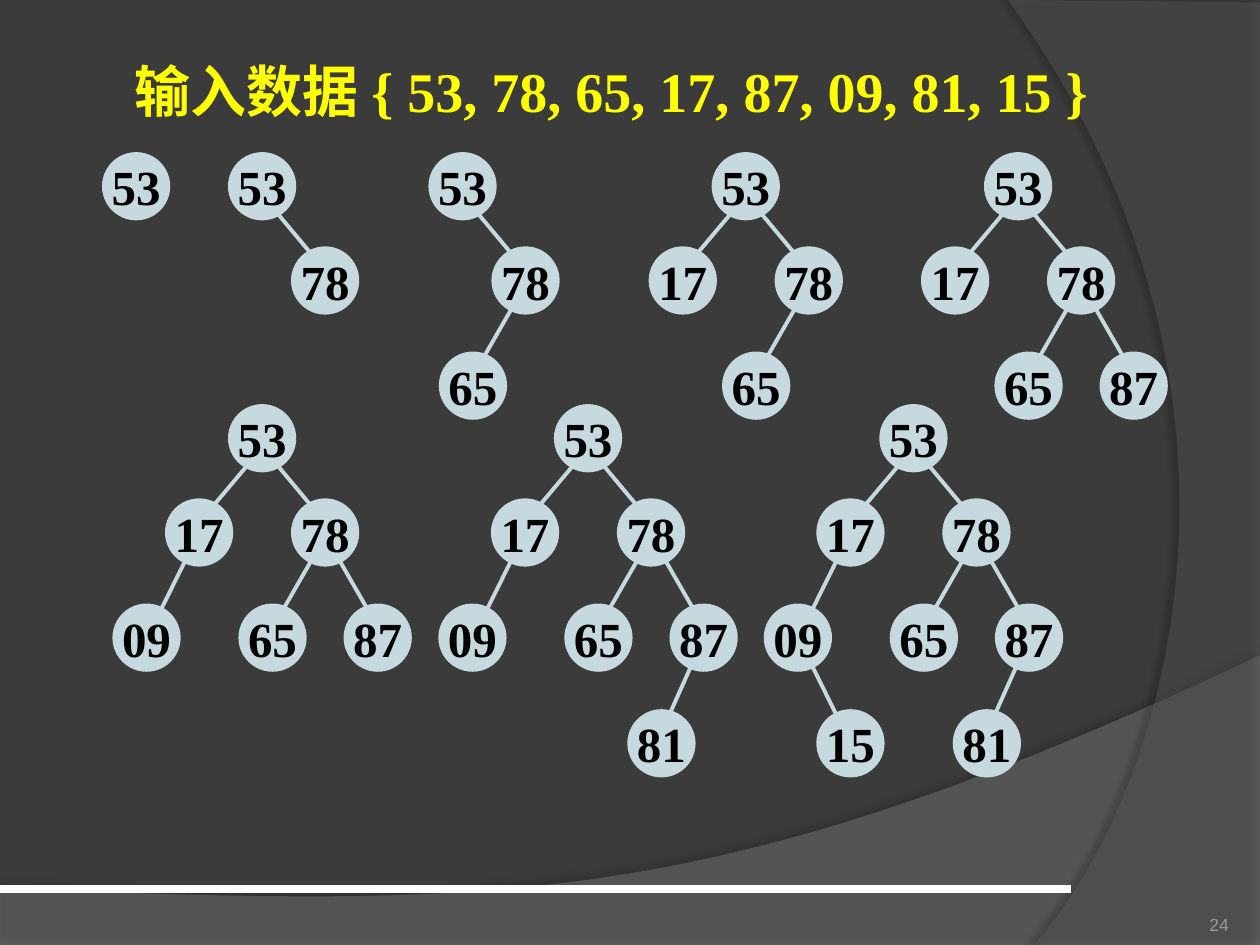
from dataclasses import dataclass

from lxml.etree import SubElement
from pptx import Presentation
from pptx.dml.color import RGBColor
from pptx.enum.shapes import MSO_CONNECTOR as Connector, MSO_SHAPE as Preset
from pptx.enum.text import MSO_ANCHOR as Anchor, MSO_AUTO_SIZE as AutoSize, PP_ALIGN as Align
from pptx.oxml.ns import qn
from pptx.util import Cm, Pt

Point = tuple[float, float]

PALE = "C5D9DF"
SERIF = "Times New Roman"
DIAMETER = 1.27


@dataclass(frozen=True)
class Key:
    value: str
    offset: Point
    link: tuple[Point, Point] | None = None


@dataclass(frozen=True)
class Swoosh:
    outline: list[Point]
    curve: tuple[Point, Point, Point]
    fill: str
    opacity: int
    shadow_opacity: int
    shadow_distance: float
    shadow_angle: int


INSERTED = [
    Key("53", (0, 0)),
    Key("78", (1.27, 1.9), ((0.85, 1.07), (1.91, 2.34))),
    Key("65", (0.21, 4.02), ((1.7, 2.97), (0.85, 4.45))),
    Key("17", (-1.27, 1.9), ((0.43, 1.07), (-0.64, 2.34))),
    Key("87", (2.33, 4.02), ((2.12, 2.97), (2.97, 4.45))),
    Key("09", (-2.33, 4.02), ((-0.85, 2.97), (-1.48, 4.24))),
    Key("81", (1.48, 6.15), ((2.97, 4.65), (2.12, 6.55))),
    Key("15", (-1.27, 6.15), ((-1.48, 5.08), (-0.85, 6.35))),
]

ROOTS = [(x, 3.12) for x in (2.11, 4.65, 8.69, 14.4, 19.89)]
ROOTS += [(x, 8.2) for x in (4.65, 11.22, 17.78)]

SWOOSHES = [
    Swoosh([(0, 17.91), (0, 19.05), (25.4, 19.05), (25.4, 13.21)],
           ((14.2, 18.52), (9.93, 18.26), (0, 17.91)),
           "7F7F7F", 45, 35, 3.5, 270),
    Swoosh([(25.4, 0.05), (25.4, 19.05), (20.85, 19.05)],
           ((23.75, 15.72), (25.86, 7.62), (20.32, 0)),
           "5E5E5E", 40, 45, 4, 180),
]


def color(value: str) -> RGBColor:
    return RGBColor.from_string(value)


def bezier(start: Point, curve: tuple[Point, Point, Point], steps: int = 48) -> list[Point]:
    points = []
    for step in range(1, steps + 1):
        t = step / steps
        weights = ((1 - t) ** 3, 3 * t * (1 - t) ** 2, 3 * t ** 2 * (1 - t), t ** 3)
        controls = (start, *curve)
        points.append(tuple(sum(w * p[axis] for w, p in zip(weights, controls))
                            for axis in (0, 1)))
    return points


def add_alpha(element, percent: int) -> None:
    SubElement(element, qn("a:alpha"), val=str(percent * 1000))


def draw_swoosh(slide, swoosh: Swoosh) -> None:
    points = swoosh.outline + bezier(swoosh.outline[-1], swoosh.curve)
    first, *rest = [(Cm(x), Cm(y)) for x, y in points]
    builder = slide.shapes.build_freeform(*first)
    builder.add_line_segments(rest, close=True)
    area = builder.convert_to_shape()
    area.fill.solid()
    area.fill.fore_color.rgb = color(swoosh.fill)
    area.line.fill.background()
    area.shadow.inherit = False
    properties = area._element.spPr
    add_alpha(properties.find(qn("a:solidFill")).find(qn("a:srgbClr")), swoosh.opacity)
    shadow = SubElement(properties.find(qn("a:effectLst")), qn("a:outerShdw"),
                        blurRad=str(Pt(4)), dist=str(Pt(swoosh.shadow_distance)),
                        dir=str(swoosh.shadow_angle * 60000))
    add_alpha(SubElement(shadow, qn("a:srgbClr"), val="000000"), swoosh.shadow_opacity)


def draw_line(slide, start: Point, end: Point, stroke: str, width: float) -> None:
    line = slide.shapes.add_connector(
        Connector.STRAIGHT, *(Cm(value) for value in (*start, *end)))
    line.line.color.rgb = color(stroke)
    line.line.width = Pt(width)
    SubElement(line._element.spPr, qn("a:effectLst"))


def write(frame, text: str, font: str, size: float, ink: str,
          bold: bool = False, align: Align = Align.LEFT) -> None:
    frame.text = text
    paragraph = frame.paragraphs[0]
    paragraph.alignment = align
    face = paragraph.runs[0].font
    face.name, face.size, face.bold = font, Pt(size), bold
    face.color.rgb = color(ink)


def shift(origin: Point, offset: Point) -> Point:
    return origin[0] + offset[0], origin[1] + offset[1]


def draw_key(slide, root: Point, key: Key) -> None:
    left, top = shift(root, key.offset)
    node = slide.shapes.add_shape(
        Preset.OVAL, Cm(left), Cm(top), Cm(DIAMETER), Cm(DIAMETER))
    node.shadow.inherit = False
    node.fill.solid()
    node.fill.fore_color.rgb = color(PALE)
    node.line.color.rgb = color(PALE)
    node.line.width = Pt(3)
    node.text_frame.word_wrap = False
    node.text_frame.vertical_anchor = Anchor.MIDDLE
    write(node.text_frame, key.value, SERIF, 28, "000000", True, Align.CENTER)


def draw_tree(slide, root: Point, keys: list[Key]) -> None:
    for key in keys:
        if key.link:
            start, end = key.link
            draw_line(slide, shift(root, start), shift(root, end), PALE, 2.25)
    for key in keys:
        draw_key(slide, root, key)


def main() -> None:
    deck = Presentation()
    deck.slide_width, deck.slide_height = Cm(25.4), Cm(19.05)
    slide = deck.slides.add_slide(deck.slide_layouts[6])
    slide.background.fill.solid()
    slide.background.fill.fore_color.rgb = color("3B3B3B")

    for swoosh in SWOOSHES:
        draw_swoosh(slide, swoosh)
    draw_line(slide, (0, 17.93), (21.59, 17.93), "FFFFFF", 4.5)

    page_number = slide.shapes.add_textbox(Cm(22.66), Cm(17.83), Cm(2.11), Cm(1.02)).text_frame
    page_number.margin_left = page_number.margin_right = 0
    page_number.margin_top = page_number.margin_bottom = 0
    page_number.word_wrap = True
    page_number.vertical_anchor = Anchor.BOTTOM
    write(page_number, "24", "Arial", 10, "9D9B9A", align=Align.RIGHT)

    heading = slide.shapes.add_textbox(Cm(2.46), Cm(1.02), Cm(20.32), Cm(1.6)).text_frame
    heading.word_wrap = True
    heading.auto_size = AutoSize.SHAPE_TO_FIT_TEXT
    write(heading, "输入数据 { 53, 78, 65, 17, 87, 09, 81, 15 }", SERIF, 32, "FFFF00", True)

    for count, root in enumerate(ROOTS, start=1):
        draw_tree(slide, root, INSERTED[:count])

    deck.save("out.pptx")


if __name__ == "__main__":
    main()
